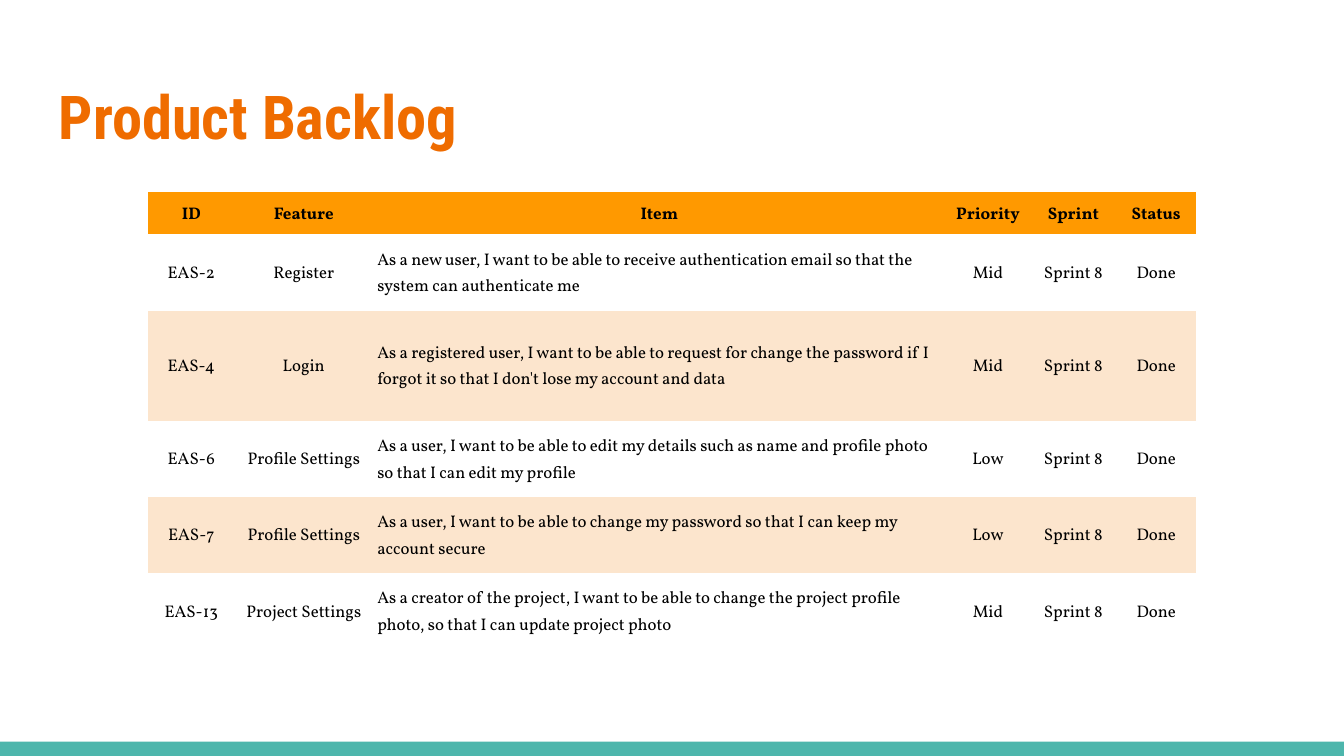
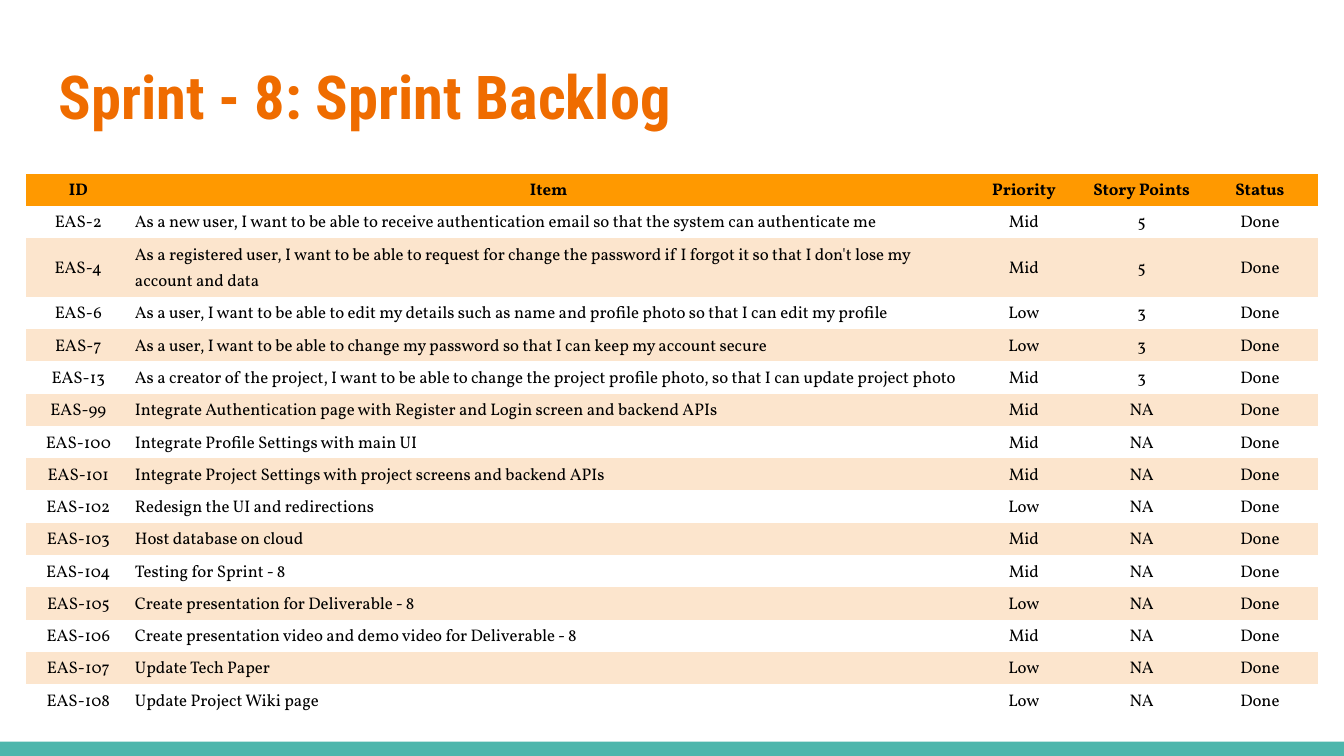
from dataclasses import dataclass

from pptx import Presentation
from pptx.dml.color import RGBColor
from pptx.enum.shapes import MSO_SHAPE
from pptx.enum.text import MSO_ANCHOR, PP_ALIGN
from pptx.slide import Slide
from pptx.util import Cm, Pt

TEAL = RGBColor(0x4D, 0xB6, 0xAC)
ORANGE = RGBColor(0xEF, 0x6C, 0x00)
AMBER = RGBColor(0xFF, 0x99, 0x00)
PEACH = RGBColor(0xFC, 0xE5, 0xCD)
BLACK = RGBColor(0x00, 0x00, 0x00)
WHITE = RGBColor(0xFF, 0xFF, 0xFF)

RECTANGLE = MSO_SHAPE.RECTANGLE
TOP, MIDDLE = MSO_ANCHOR.TOP, MSO_ANCHOR.MIDDLE
LEFT, CENTER = PP_ALIGN.LEFT, PP_ALIGN.CENTER

TITLE_FONT = "Roboto Condensed"
TABLE_FONT = "Vollkorn"
PLAIN_TABLE_STYLE = "{2D5ABB26-0587-4C30-8999-92F81FD0307C}"

SLIDE_W, SLIDE_H = 25.4, 14.29
BAND_H = 0.27
TITLE_X, TITLE_W = 0.86, 23.68
STATUS = "Done"


@dataclass(frozen=True)
class Column:
    heading: str
    width: float
    align: PP_ALIGN = CENTER


@dataclass(frozen=True)
class Story:
    key: str
    feature: str
    item: str
    priority: str
    points: str


@dataclass(frozen=True)
class Task:
    key: str
    item: str
    priority: str


@dataclass(frozen=True)
class Backlog:
    title: str
    title_y: float
    title_h: float
    x: float
    y: float
    columns: list[Column]
    heights: list[float]
    rows: list[list[str]]


STORIES = [
    Story("EAS-2", "Register", "As a new user, I want to be able to receive authentication "
          "email so that the system can authenticate me", "Mid", "5"),
    Story("EAS-4", "Login", "As a registered user, I want to be able to request for change "
          "the password if I forgot it so that I don't lose my account and data", "Mid", "5"),
    Story("EAS-6", "Profile Settings", "As a user, I want to be able to edit my details such "
          "as name and profile photo so that I can edit my profile", "Low", "3"),
    Story("EAS-7", "Profile Settings", "As a user, I want to be able to change my password "
          "so that I can keep my account secure", "Low", "3"),
    Story("EAS-13", "Project Settings", "As a creator of the project, I want to be able to "
          "change the project profile photo, so that I can update project photo", "Mid", "3"),
]

TASKS = [
    Task("EAS-99", "Integrate Authentication page with Register and Login screen "
         "and backend APIs", "Mid"),
    Task("EAS-100", "Integrate Profile Settings with main UI", "Mid"),
    Task("EAS-101", "Integrate Project Settings with project screens and backend APIs", "Mid"),
    Task("EAS-102", "Redesign the UI and redirections", "Low"),
    Task("EAS-103", "Host database on cloud", "Mid"),
    Task("EAS-104", "Testing for Sprint - 8", "Mid"),
    Task("EAS-105", "Create presentation for Deliverable - 8", "Low"),
    Task("EAS-106", "Create presentation video and demo video for Deliverable - 8", "Mid"),
    Task("EAS-107", "Update Tech Paper", "Low"),
    Task("EAS-108", "Update Project Wiki page", "Low"),
]

PRODUCT_BACKLOG = Backlog(
    title="Product Backlog", title_y=1.24, title_h=1.57, x=2.8, y=3.63,
    columns=[Column("ID", 1.63), Column("Feature", 2.62), Column("Item", 10.82, LEFT),
             Column("Priority", 1.6), Column("Sprint", 1.63), Column("Status", 1.5)],
    heights=[0.8, 1.44, 2.08] + [1.44] * 3,
    rows=[[t.key, t.feature, t.item, t.priority, "Sprint 8", STATUS] for t in STORIES],
)

SPRINT_BACKLOG = Backlog(
    title="Sprint - 8: Sprint Backlog", title_y=0.86, title_h=1.96, x=0.49, y=3.28,
    columns=[Column("ID", 1.98), Column("Item", 15.8, LEFT), Column("Priority", 2.16),
             Column("Story Points", 2.29), Column("Status", 2.18)],
    heights=[0.61] * 2 + [1.11] + [0.61] * 13,
    rows=[[t.key, t.item, t.priority, t.points, STATUS] for t in STORIES]
    + [[t.key, t.item, t.priority, "NA", STATUS] for t in TASKS],
)


def add_band(s: Slide) -> None:
    sp = s.shapes.add_shape(RECTANGLE, 0, Cm(SLIDE_H - BAND_H), Cm(SLIDE_W), Cm(BAND_H))
    sp.shadow.inherit = False
    sp.fill.solid()
    sp.fill.fore_color.rgb = TEAL
    sp.line.fill.background()


def add_title(s: Slide, backlog: Backlog) -> None:
    sp = s.shapes.add_textbox(Cm(TITLE_X), Cm(backlog.title_y), Cm(TITLE_W), Cm(backlog.title_h))
    tf = sp.text_frame
    tf.word_wrap = True
    tf.vertical_anchor = TOP
    tf.margin_left = tf.margin_right = tf.margin_top = tf.margin_bottom = Cm(0.25)
    p = tf.paragraphs[0]
    p.text = backlog.title
    p.font.name = TITLE_FONT
    p.font.size = Pt(32.4)
    p.font.bold = True
    p.font.color.rgb = ORANGE


def add_backlog_table(s: Slide, backlog: Backlog) -> None:
    columns = backlog.columns
    rows = [[c.heading for c in columns]] + backlog.rows
    width = sum(c.width for c in columns)
    table = s.shapes.add_table(len(rows), len(columns), Cm(backlog.x), Cm(backlog.y),
                               Cm(width), Cm(sum(backlog.heights))).table
    table.first_row = table.horz_banding = False
    table._tbl.tblPr[0].text = PLAIN_TABLE_STYLE
    for table_column, column in zip(table.columns, columns):
        table_column.width = Cm(column.width)
    for i, (row, height) in enumerate(zip(rows, backlog.heights)):
        table.rows[i].height = Cm(height)
        is_header = i == 0
        for j, (text, column) in enumerate(zip(row, columns)):
            cell = table.cell(i, j)
            if i % 2 and not is_header:
                cell.fill.background()
            else:
                cell.fill.solid()
                cell.fill.fore_color.rgb = AMBER if is_header else PEACH
            cell.vertical_anchor = MIDDLE
            cell.margin_left = cell.margin_right = Cm(0.08)
            cell.margin_top = cell.margin_bottom = Cm(0.05)
            p = cell.text_frame.paragraphs[0]
            p.text = text
            p.alignment = CENTER if is_header else column.align
            p.line_spacing = 1.15
            p.font.name = TABLE_FONT
            p.font.size = Pt(9)
            p.font.bold = is_header
            p.font.color.rgb = BLACK


def main() -> None:
    prs = Presentation()
    prs.slide_width, prs.slide_height = Cm(SLIDE_W), Cm(SLIDE_H)
    for backlog in (PRODUCT_BACKLOG, SPRINT_BACKLOG):
        s = prs.slides.add_slide(prs.slide_layouts[6])
        s.background.fill.solid()
        s.background.fill.fore_color.rgb = WHITE
        add_band(s)
        add_title(s, backlog)
        add_backlog_table(s, backlog)
    prs.save("out.pptx")


if __name__ == "__main__":
    main()
